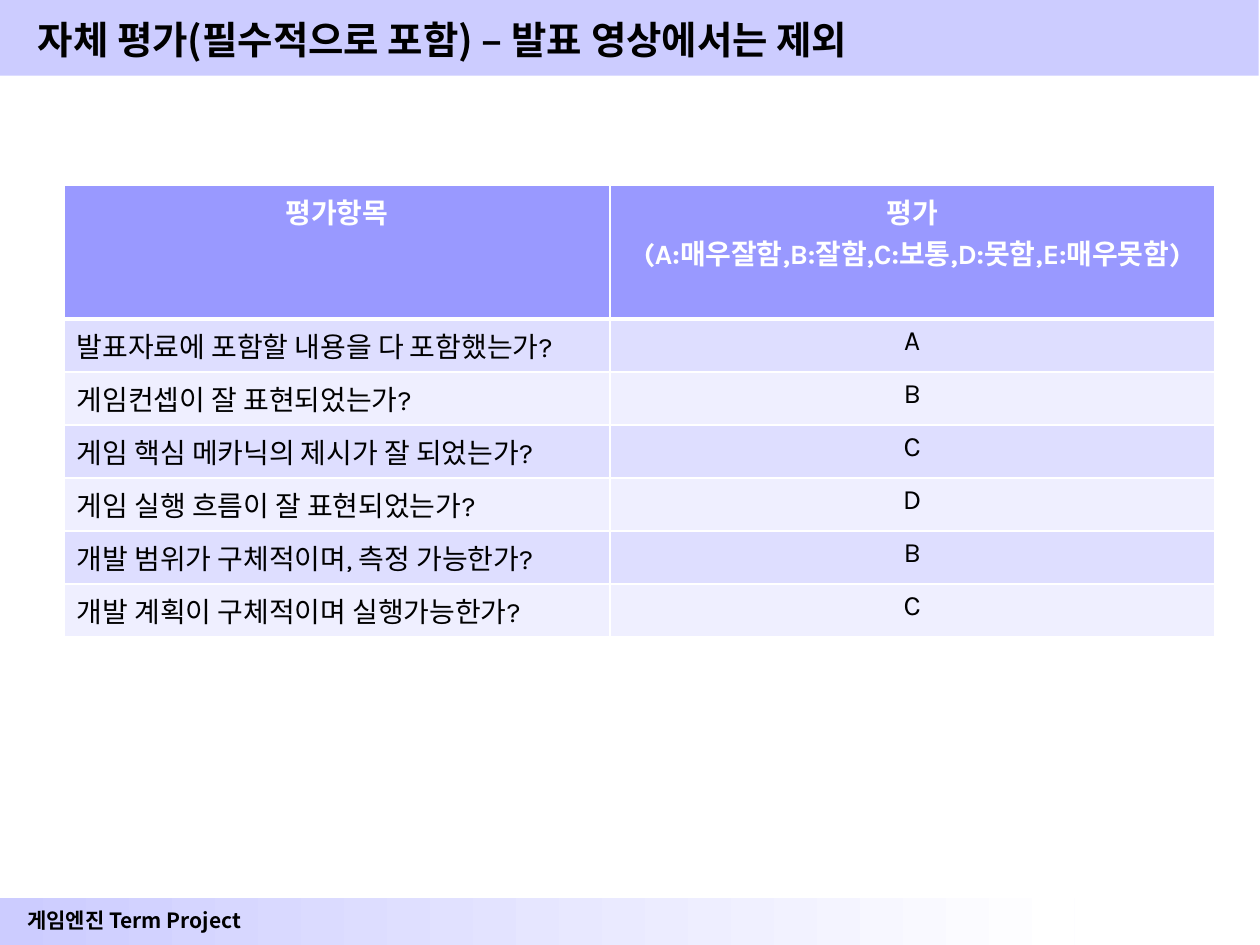
from lxml.etree import SubElement
from pptx import Presentation
from pptx.dml.color import RGBColor
from pptx.enum.shapes import MSO_SHAPE
from pptx.enum.text import MSO_ANCHOR, PP_ALIGN
from pptx.oxml.ns import qn
from pptx.util import Inches, Pt

TITLE = "자체 평가(필수적으로 포함) – 발표 영상에서는 제외"
FOOTER = "게임엔진 Term Project"
HEADERS = ["평가항목", "평가\n(A:매우잘함,B:잘함,C:보통,D:못함,E:매우못함)"]
RATINGS = [
    ("발표자료에 포함할 내용을 다 포함했는가?", "A"),
    ("게임컨셉이 잘 표현되었는가?", "B"),
    ("게임 핵심 메카닉의 제시가 잘 되었는가?", "C"),
    ("게임 실행 흐름이 잘 표현되었는가?", "D"),
    ("개발 범위가 구체적이며, 측정 가능한가?", "B"),
    ("개발 계획이 구체적이며 실행가능한가?", "C"),
]
COL_WIDTHS = [4.33, 4.8]
ROW_HEIGHT = 0.41

LATIN, KOREAN = "Karla", "Noto Sans CJK KR"
BLACK = RGBColor(0, 0, 0)
WHITE = RGBColor(0xFF, 0xFF, 0xFF)
LAVENDER = RGBColor(0xCC, 0xCC, 0xFF)
HEADER_FILL = RGBColor(0x99, 0x99, 0xFF)
BANDS = [RGBColor(0xDE, 0xDE, 0xFF), RGBColor(0xEF, 0xEF, 0xFF)]


def write(tf, text, size, font=KOREAN, color=BLACK, bold=False, align=PP_ALIGN.LEFT):
    tf.text = text
    for p in tf.paragraphs:
        p.alignment = align
        for r in p.runs:
            r.font.size, r.font.bold, r.font.name = Pt(size), bold, font
            r.font.color.rgb = color
            SubElement(r.font._element, qn("a:ea")).set("typeface", KOREAN)


def add_band(slide, x, y, w, h):
    sp = slide.shapes.add_shape(MSO_SHAPE.RECTANGLE, *map(Inches, (x, y, w, h)))
    sp.shadow.inherit = False
    sp.line.fill.background()
    return sp


def set_borders(cell, bottom):
    """Draw white cell edges, 1 pt wide except for the bottom one."""
    tcPr = cell._tc.get_or_add_tcPr()
    for i, (side, width) in enumerate([("L", 1), ("R", 1), ("T", 1), ("B", bottom)]):
        ln = tcPr.makeelement(qn(f"a:ln{side}"), {"w": str(Pt(width))})
        fill = SubElement(ln, qn("a:solidFill"))
        SubElement(fill, qn("a:srgbClr")).set("val", str(WHITE))
        tcPr.insert(i, ln)


def add_ratings(slide):
    rows = [HEADERS, *RATINGS]
    frame = slide.shapes.add_table(
        len(rows), len(COL_WIDTHS), Inches(0.51), Inches(1.47),
        Inches(sum(COL_WIDTHS)), Inches(ROW_HEIGHT * len(rows)))
    table = frame.table
    for col, width in zip(table.columns, COL_WIDTHS):
        col.width = Inches(width)
    for i, row in enumerate(rows):
        head = i == 0
        for j, text in enumerate(row):
            cell = table.cell(i, j)
            cell.fill.solid()
            cell.fill.fore_color.rgb = HEADER_FILL if head else BANDS[(i - 1) % 2]
            set_borders(cell, bottom=3 if head else 1)
            write(cell.text_frame, text, 16, font=LATIN, bold=head,
                  color=WHITE if head else BLACK,
                  align=PP_ALIGN.CENTER if head or j else PP_ALIGN.LEFT)


def main():
    prs = Presentation()
    prs.slide_width, prs.slide_height = Inches(10), Inches(7.5)
    slide = prs.slides.add_slide(prs.slide_layouts[5])

    footer_band = add_band(slide, 0, 7.13, 8.53, 0.38)
    footer_band.fill.gradient()
    footer_band.fill.gradient_angle = 0
    for stop, color in zip(footer_band.fill.gradient_stops, (LAVENDER, WHITE)):
        stop.color.rgb = color
    title_band = add_band(slide, 0, 0, 9.99, 0.6)
    title_band.fill.solid()
    title_band.fill.fore_color.rgb = LAVENDER

    footer = slide.shapes.add_textbox(*map(Inches, (0.04, 7.15, 2.05, 0.3)))
    footer.text_frame.word_wrap = False
    write(footer.text_frame, FOOTER, 12, bold=True, align=PP_ALIGN.CENTER)

    title = slide.shapes.title
    title.left, title.top, title.width, title.height = map(Inches, (0.2, 0.05, 9.69, 0.52))
    title.text_frame.vertical_anchor = MSO_ANCHOR.MIDDLE
    write(title.text_frame, TITLE, 22, bold=True)
    slide.shapes._spTree.append(title._element)  # in front of its band

    add_ratings(slide)
    prs.save("out.pptx")


if __name__ == "__main__":
    main()
